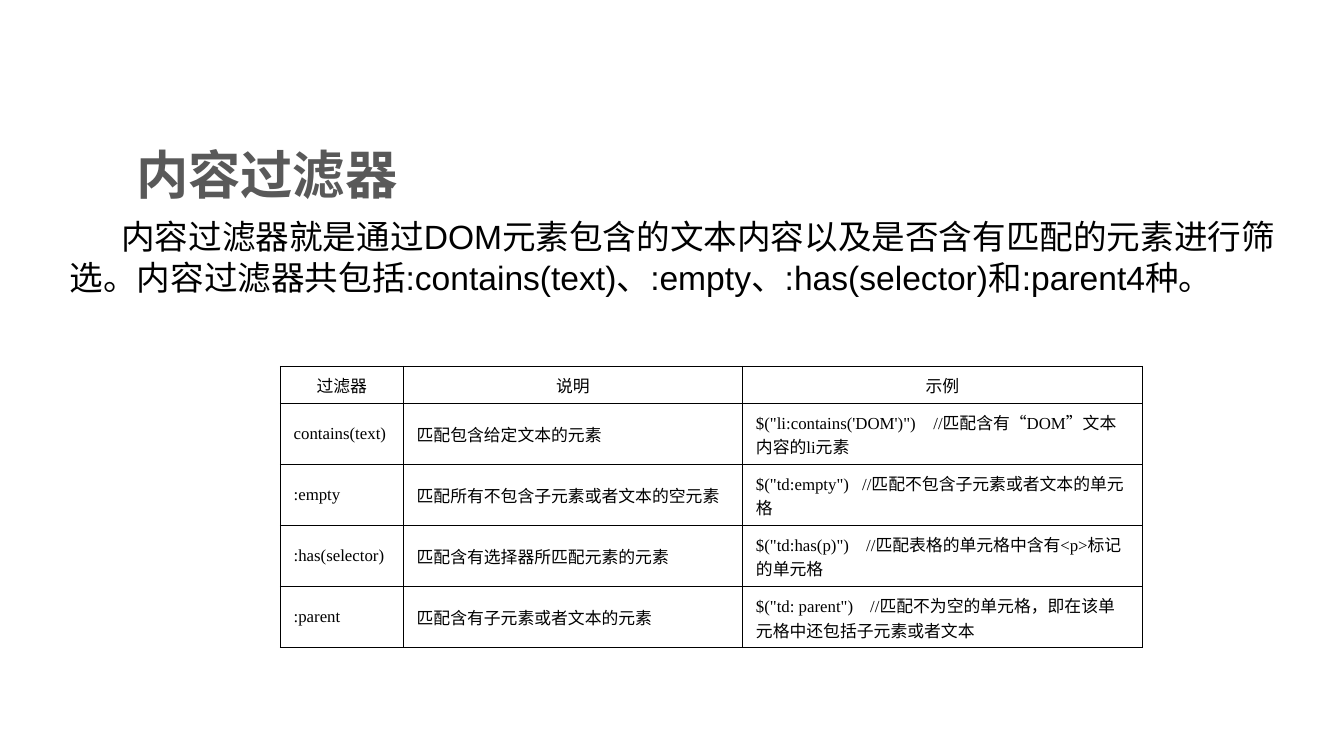
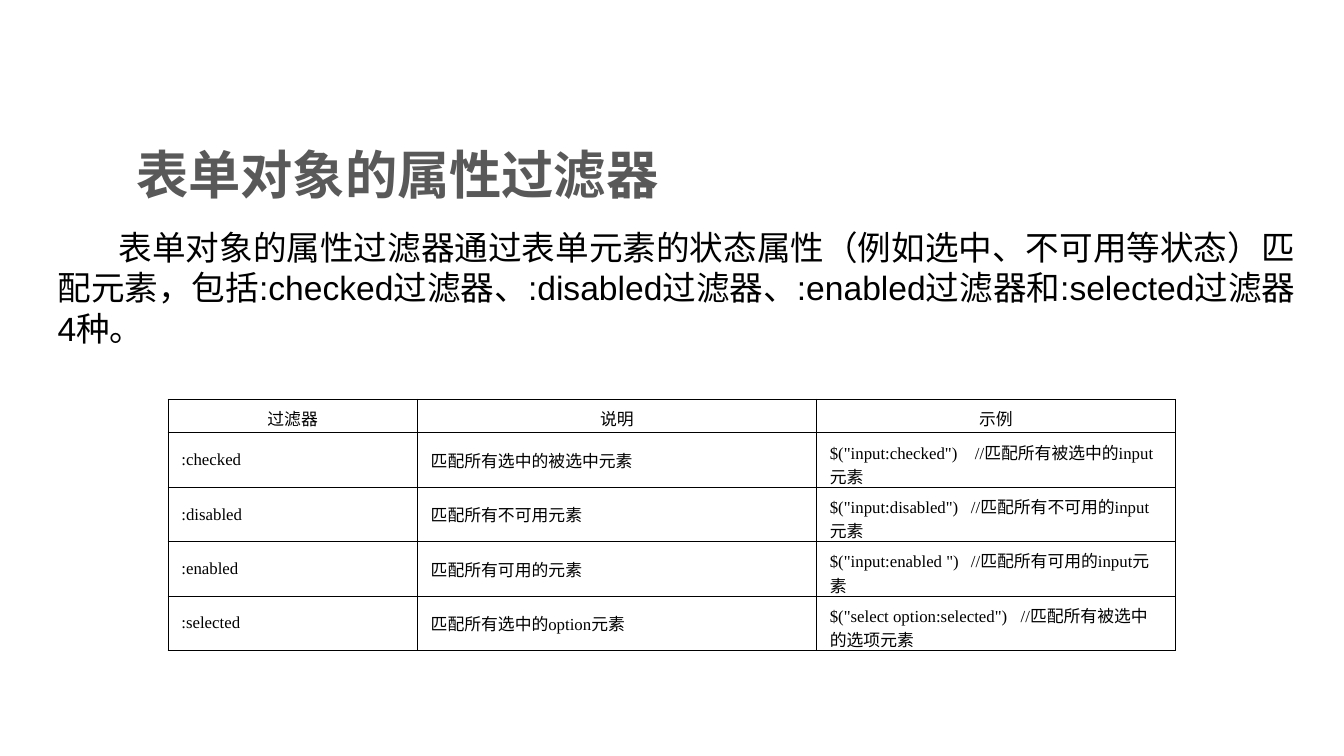
from dataclasses import dataclass

from lxml.etree import SubElement
from pptx import Presentation
from pptx.dml.color import RGBColor
from pptx.enum.text import MSO_ANCHOR as Anchor, MSO_AUTO_SIZE as AutoSize, PP_ALIGN as Align
from pptx.oxml.ns import qn
from pptx.util import Emu, Pt

EMU_PER_PX = 4572  # 200 px to the inch


@dataclass(frozen=True)
class Theme:
    title_color: RGBColor = RGBColor(0x59, 0x59, 0x59)
    text_color: RGBColor = RGBColor(0, 0, 0)
    border_color: str = "000000"
    border_width: int = Pt(0.45)
    title_size: int = Pt(28)
    body_size: int = Pt(18)
    body_leading: int = Pt(21.5)
    table_size: int = Pt(9)
    chinese_font: str = "Noto Sans CJK SC"
    body_font: str = "Arial"
    code_font: str = "Times New Roman"


THEME = Theme()
SLIDE_SIZE = (2000, 1125)
TITLE_BOX = (183, 195, 1434, 126)
HEADERS = ("过滤器", "说明", "示例")

# Each row: filter, description, example code, example comment, comment's tab stop
CONTENT_FILTERS = [
    ("contains(text)", "匹配包含给定文本的元素",
     "$(\"li:contains('DOM')\")", "//匹配含有“DOM”文本内容的li元素", 264),
    (":empty", "匹配所有不包含子元素或者文本的空元素",
     '$("td:empty")', "//匹配不包含子元素或者文本的单元格", 158),
    (":has(selector)", "匹配含有选择器所匹配元素的元素",
     '$("td:has(p)")', "//匹配表格的单元格中含有<p>标记的单元格", 164),
    (":parent", "匹配含有子元素或者文本的元素",
     '$("td: parent")', "//匹配不为空的单元格，即在该单元格中还包括子元素或者文本", 170),
]
FORM_FILTERS = [
    (":checked", "匹配所有选中的被选中元素",
     '$("input:checked")', "//匹配所有被选中的input元素", 216),
    (":disabled", "匹配所有不可用元素",
     '$("input:disabled")', "//匹配所有不可用的input元素", 210),
    (":enabled", "匹配所有可用的元素",
     '$("input:enabled ")', "//匹配所有可用的input元素", 210),
    (":selected", "匹配所有选中的option元素",
     '$("select option:selected")', "//匹配所有被选中的选项元素", 284),
]


def px(length):
    return Emu(length * EMU_PER_PX)


def style_paragraph(paragraph, font_name, size, color, bold=False, align=Align.LEFT):
    paragraph.alignment = align
    font = paragraph.font
    font.size, font.bold, font.name = size, bold, font_name
    font.color.rgb = color
    defaults = paragraph._p.pPr.find(qn("a:defRPr"))
    SubElement(defaults, qn("a:ea"), typeface=THEME.chinese_font)


def set_margins(holder):
    holder.margin_left = holder.margin_right = px(20)
    holder.margin_top = holder.margin_bottom = px(10)
    holder.vertical_anchor = Anchor.MIDDLE


def set_title(slide, text):
    title = slide.shapes.title
    title.left, title.top, title.width, title.height = map(px, TITLE_BOX)
    frame = title.text_frame
    frame.text = text
    frame.word_wrap = True
    frame.auto_size = AutoSize.NONE
    set_margins(frame)
    style_paragraph(frame.paragraphs[0], THEME.chinese_font, THEME.title_size,
                    THEME.title_color, bold=True)


def add_body(slide, box, text, indent):
    frame = slide.shapes.add_textbox(*map(px, box)).text_frame
    frame.text = text
    frame.word_wrap = True
    frame.auto_size = AutoSize.SHAPE_TO_FIT_TEXT
    set_margins(frame)
    paragraph = frame.paragraphs[0]
    paragraph.line_spacing = THEME.body_leading
    properties = paragraph._p.get_or_add_pPr()
    properties.set("marL", "0")
    properties.set("indent", str(px(indent)))
    style_paragraph(paragraph, THEME.body_font, THEME.body_size, THEME.text_color)


def add_tab_stop(paragraph, position):
    tabs = SubElement(paragraph._p.get_or_add_pPr(), qn("a:tabLst"))
    SubElement(tabs, qn("a:tab"), pos=str(px(position)), algn="l")


def set_borders(cell):
    properties = cell._tc.get_or_add_tcPr()
    for side in ("lnL", "lnR", "lnT", "lnB"):
        line = SubElement(properties, qn(f"a:{side}"), w=str(int(THEME.border_width)))
        fill = SubElement(line, qn("a:solidFill"))
        SubElement(fill, qn("a:srgbClr"), val=THEME.border_color)


def fill_cell(cell, text, font_name, align=Align.LEFT, tab_stop=None):
    cell.text = text
    set_margins(cell)
    set_borders(cell)
    cell.fill.background()
    paragraph = cell.text_frame.paragraphs[0]
    if tab_stop:
        add_tab_stop(paragraph, tab_stop)
    style_paragraph(paragraph, font_name, THEME.table_size, THEME.text_color, align=align)


def add_filter_table(slide, left, top, widths, header_height, row_height, filters):
    heights = [header_height] + [row_height] * len(filters)
    table = slide.shapes.add_table(len(heights), len(widths), px(left), px(top),
                                   px(sum(widths)), px(sum(heights))).table
    table.first_row = table.horz_banding = False
    for column, width in zip(table.columns, widths):
        column.width = px(width)
    for row, height in zip(table.rows, heights):
        row.height = px(height)

    for index, header in enumerate(HEADERS):
        fill_cell(table.cell(0, index), header, THEME.body_font, Align.CENTER)
    for index, (name, description, code, comment, tab_stop) in enumerate(filters, 1):
        fill_cell(table.cell(index, 0), name, THEME.code_font)
        fill_cell(table.cell(index, 1), description, THEME.code_font)
        fill_cell(table.cell(index, 2), f"{code}\t{comment}", THEME.code_font,
                  tab_stop=tab_stop)


def add_titled_slide(presentation, title):
    slide = presentation.slides.add_slide(presentation.slide_layouts[5])
    set_title(slide, title)
    return slide


def main():
    presentation = Presentation()
    presentation.slide_width, presentation.slide_height = map(px, SLIDE_SIZE)

    # Content filters
    slide = add_titled_slide(presentation, "内容过滤器")
    add_body(slide, (84, 312, 1866, 140),
             "内容过滤器就是通过DOM元素包含的文本内容以及是否含有匹配的元素进行筛选。"
             "内容过滤器共包括:contains(text)、:empty、:has(selector)和:parent4种。", 77)
    add_filter_table(slide, 417, 545, (183, 505, 595), 55, 91, CONTENT_FILTERS)

    # Form attribute filters
    slide = add_titled_slide(presentation, "表单对象的属性过滤器")
    add_body(slide, (66, 328, 1900, 200),
             "表单对象的属性过滤器通过表单元素的状态属性（例如选中、不可用等状态）匹配元素，"
             "包括:checked过滤器、:disabled过滤器、:enabled过滤器和:selected过滤器4种。", 91)
    add_filter_table(slide, 250, 594, (371, 594, 534), 50, 81, FORM_FILTERS)

    presentation.save("out.pptx")


if __name__ == "__main__":
    main()
